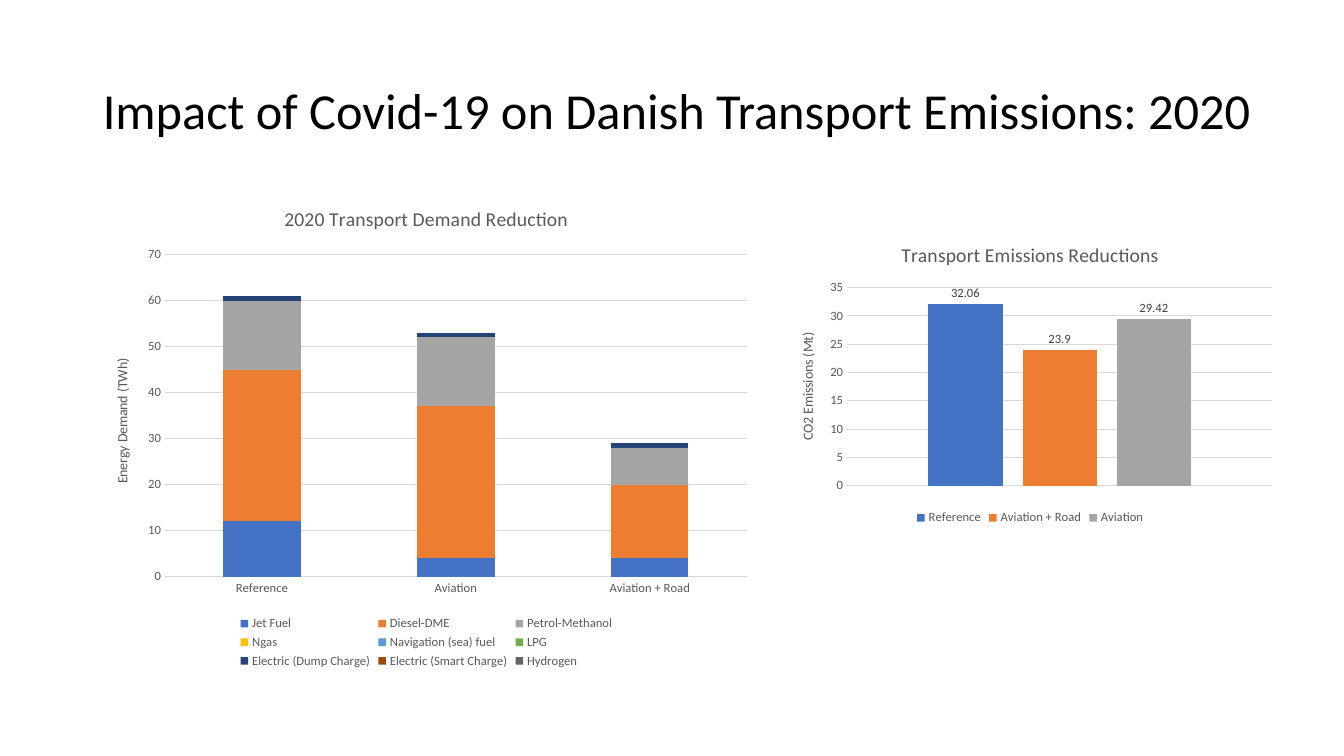
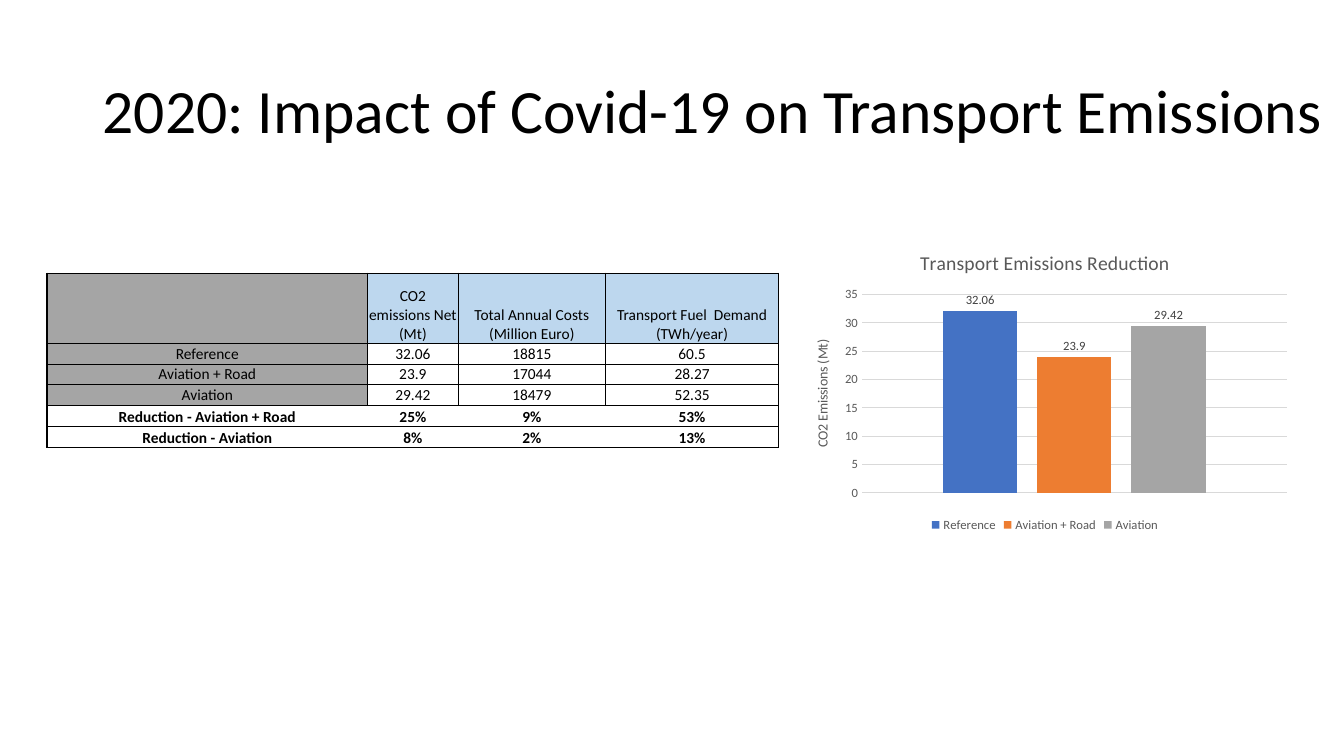
"""Builds two slides on how Covid-19 changed Danish transport emissions."""
from dataclasses import dataclass

from lxml.etree import SubElement
from pptx import Presentation
from pptx.chart.data import CategoryChartData
from pptx.dml.color import RGBColor
from pptx.enum.chart import XL_CHART_TYPE, XL_LABEL_POSITION, XL_LEGEND_POSITION, XL_TICK_MARK
from pptx.enum.text import MSO_ANCHOR, MSO_AUTO_SIZE, PP_ALIGN
from pptx.oxml.ns import qn
from pptx.util import Inches, Pt


@dataclass(frozen=True)
class Theme:
    """Holds the fonts, sizes, colours and slide size that the slides share."""
    font: str = "Calibri"
    slide_width: int = Inches(13.33)
    slide_height: int = Inches(7.5)
    title_area: tuple = (6.9, 5.33, 93.1, 19.33)
    chart_title_size: int = 14
    axis_title_size: int = 10
    label_size: int = 9
    table_size: int = 11
    thin: float = 0.5
    thick: float = 1
    grid_width: float = 0.75
    black: str = "000000"
    grey_text: str = "595959"
    label_text: str = "404040"
    grid: str = "D9D9D9"
    side_fill: str = "A5A5A5"
    header_fill: str = "BDD7EE"
    series: tuple = ("4472C4", "ED7D31", "A5A5A5", "FFC000", "5B9BD5",
                     "70AD47", "264478", "9E480E", "636363")


THEME = Theme()

FUEL_SCENARIOS = ("Reference", "Aviation", "Aviation + Road")
FUEL_DEMAND = {
    "Jet Fuel": (12, 4, 4),
    "Diesel-DME": (33, 33, 16),
    "Petrol-Methanol": (15, 15, 8),
    "Ngas": (0, 0, 0),
    "Navigation (sea) fuel": (0, 0, 0),
    "LPG": (0, 0, 0),
    "Electric (Dump Charge)": (1, 1, 1),
    "Electric (Smart Charge)": (0, 0, 0),
    "Hydrogen": (0, 0, 0),
}
EMISSIONS = {"Reference": (32.06,), "Aviation + Road": (23.9,), "Aviation": (29.42,)}

TABLE_COLUMNS = (23.85, 6.75, 10.95, 12.9)
TABLE_ROWS = (9.33, 2.67, 2.67, 2.8, 2.8, 2.8)
TABLE_TEXT = (
    ("", "CO2 emissions Net (Mt)", "Total Annual Costs (Million Euro)",
     "Transport Fuel  Demand (TWh/year)"),
    ("Reference", "32.06", "18815", "60.5"),
    ("Aviation + Road", "23.9", "17044", "28.27"),
    ("Aviation", "29.42", "18479", "52.35"),
    ("Reduction - Aviation + Road", "25%", "9%", "53%"),
    ("Reduction - Aviation", "8%", "2%", "13%"),
)
FIRST_REDUCTION_ROW = 4


def across(percent):
    """Return a share of the slide width."""
    return round(THEME.slide_width * percent / 100)


def down(percent):
    """Return a share of the slide height."""
    return round(THEME.slide_height * percent / 100)


def place(left, top, width, height):
    """Return a position and size from percentages of the slide."""
    return across(left), down(top), across(width), down(height)


def style_font(font, size, color, bold=False):
    """Apply the theme typeface with a size, colour and weight."""
    font.name, font.size, font.bold = THEME.font, Pt(size), bold
    font.color.rgb = RGBColor.from_string(color)


def add_titled_slide(presentation, text, size):
    """Add a slide whose title placeholder carries the text."""
    slide = presentation.slides.add_slide(presentation.slide_layouts[5])
    title = slide.shapes.title
    title.left, title.top, title.width, title.height = place(*THEME.title_area)
    frame = title.text_frame
    frame.text = text
    frame.word_wrap = True
    frame.auto_size = MSO_AUTO_SIZE.NONE
    frame.vertical_anchor = MSO_ANCHOR.MIDDLE
    paragraph = frame.paragraphs[0]
    paragraph.alignment = PP_ALIGN.LEFT
    paragraph.line_spacing = 0.9
    style_font(paragraph.runs[0].font, size, THEME.black)
    return slide


def set_caption(owner, text, size):
    """Write the title of a chart or an axis."""
    frame = owner.text_frame
    frame.text = text
    style_font(frame.paragraphs[0].runs[0].font, size, THEME.grey_text)


def style_line(line):
    """Draw a line in the grid colour and width."""
    line.color.rgb = RGBColor.from_string(THEME.grid)
    line.width = Pt(THEME.grid_width)


def style_axes(chart, value_title):
    """Format both axes, the gridlines and the value title."""
    for axis in (chart.category_axis, chart.value_axis):
        axis.major_tick_mark = axis.minor_tick_mark = XL_TICK_MARK.NONE
        style_font(axis.tick_labels.font, THEME.label_size, THEME.grey_text)
    style_line(chart.category_axis.format.line)
    chart.value_axis.format.line.fill.background()
    style_line(chart.value_axis.major_gridlines.format.line)
    set_caption(chart.value_axis.axis_title, value_title, THEME.axis_title_size)


def add_column_chart(slide, area, kind, titles, categories, values, gap, overlap):
    """Add a column chart with its titles, bottom legend and theme colours."""
    data = CategoryChartData()
    data.categories = categories
    for name, numbers in values.items():
        data.add_series(name, numbers)
    chart = slide.shapes.add_chart(kind, *place(*area), data).chart
    style_font(chart.font, THEME.axis_title_size, THEME.black)
    chart.has_title = True
    set_caption(chart.chart_title, titles[0], THEME.chart_title_size)
    chart.chart_title.include_in_layout = False
    style_axes(chart, titles[1])
    chart.has_legend = True
    chart.legend.position = XL_LEGEND_POSITION.BOTTOM
    chart.legend.include_in_layout = False
    style_font(chart.legend.font, THEME.label_size, THEME.grey_text)
    plot = chart.plots[0]
    plot.gap_width, plot.overlap, plot.vary_by_categories = gap, overlap, False
    for series, color in zip(plot.series, THEME.series):
        series.invert_if_negative = False
        series.format.fill.solid()
        series.format.fill.fore_color.rgb = RGBColor.from_string(color)
    return chart


def add_demand_chart(slide):
    """Add the stacked chart of energy demand by fuel."""
    add_column_chart(slide, (6.9, 24.67, 49.65, 64.27), XL_CHART_TYPE.COLUMN_STACKED,
                     ("2020 Transport Demand Reduction", "Energy Demand (TWh)"),
                     FUEL_SCENARIOS, FUEL_DEMAND, 150, 100)


def add_emissions_chart(slide, left, top, title):
    """Add the labelled chart of emissions by scenario."""
    chart = add_column_chart(slide, (left, top, 37.5, 40), XL_CHART_TYPE.COLUMN_CLUSTERED,
                             (title, "CO2 Emissions (Mt)"), ("1",), EMISSIONS, 219, -27)
    chart.category_axis.visible = False
    for series in chart.plots[0].series:
        labels = series.data_labels
        labels.show_value = True
        labels.position = XL_LABEL_POSITION.OUTSIDE_END
        style_font(labels.font, THEME.label_size, THEME.label_text)


def set_borders(cell, widths):
    """Draw left, right, top and bottom borders, leaving out those of no width."""
    properties = cell._tc.get_or_add_tcPr()
    for index, (side, width) in enumerate(zip(("lnL", "lnR", "lnT", "lnB"), widths)):
        line = properties.makeelement(qn(f"a:{side}"), {"w": str(Pt(width))})
        properties.insert(index, line)
        if width:
            fill = SubElement(line, qn("a:solidFill"))
            SubElement(fill, qn("a:srgbClr"), {"val": THEME.black})
        else:
            SubElement(line, qn("a:noFill"))


def border_widths(row, column):
    """Return the left, right, top and bottom border widths of a cell."""
    reduction = row >= FIRST_REDUCTION_ROW
    inner = 0 if reduction else THEME.thin
    left = THEME.thick if column == 0 else inner
    right = THEME.thick if column == len(TABLE_COLUMNS) - 1 else inner
    top = THEME.thick if row == 0 or reduction else THEME.thin
    bottom = THEME.thick if row >= FIRST_REDUCTION_ROW - 1 else THEME.thin
    return left, right, top, bottom


def fill_cell(cell, row, column):
    """Write and format one cell of the summary table."""
    cell.margin_left = cell.margin_right = cell.margin_top = Inches(0.01)
    cell.margin_bottom = 0
    cell.vertical_anchor = MSO_ANCHOR.BOTTOM
    cell.text_frame.text = TABLE_TEXT[row][column]
    paragraph = cell.text_frame.paragraphs[0]
    paragraph.alignment = PP_ALIGN.CENTER
    for run in paragraph.runs:
        style_font(run.font, THEME.table_size, THEME.black, row >= FIRST_REDUCTION_ROW)
    if row < FIRST_REDUCTION_ROW and (row == 0 or column == 0):
        cell.fill.solid()
        color = THEME.side_fill if column == 0 else THEME.header_fill
        cell.fill.fore_color.rgb = RGBColor.from_string(color)
    else:
        cell.fill.background()
    set_borders(cell, border_widths(row, column))


def add_summary_table(slide):
    """Add the table of emissions, costs and demand by scenario."""
    area = place(3.5, 36.13, sum(TABLE_COLUMNS), sum(TABLE_ROWS))
    table = slide.shapes.add_table(len(TABLE_ROWS), len(TABLE_COLUMNS), *area).table
    table.first_row = table.horz_banding = False
    for column, width in zip(table.columns, TABLE_COLUMNS):
        column.width = across(width)
    for row, height in zip(table.rows, TABLE_ROWS):
        row.height = down(height)
    for row in range(len(TABLE_ROWS)):
        for column in range(len(TABLE_COLUMNS)):
            fill_cell(table.cell(row, column), row, column)


def main():
    """Build and save the presentation."""
    presentation = Presentation()
    presentation.slide_width = THEME.slide_width
    presentation.slide_height = THEME.slide_height
    slide = add_titled_slide(
        presentation, "Impact of Covid-19 on Danish Transport Emissions: 2020", 36)
    add_demand_chart(slide)
    add_emissions_chart(slide, 57.9, 30, "Transport Emissions Reductions")
    slide = add_titled_slide(
        presentation, "2020: Impact of Covid-19 on Transport Emissions", 44)
    add_emissions_chart(slide, 59, 30.93, "Transport Emissions Reduction")
    add_summary_table(slide)
    presentation.save("out.pptx")


if __name__ == "__main__":
    main()
